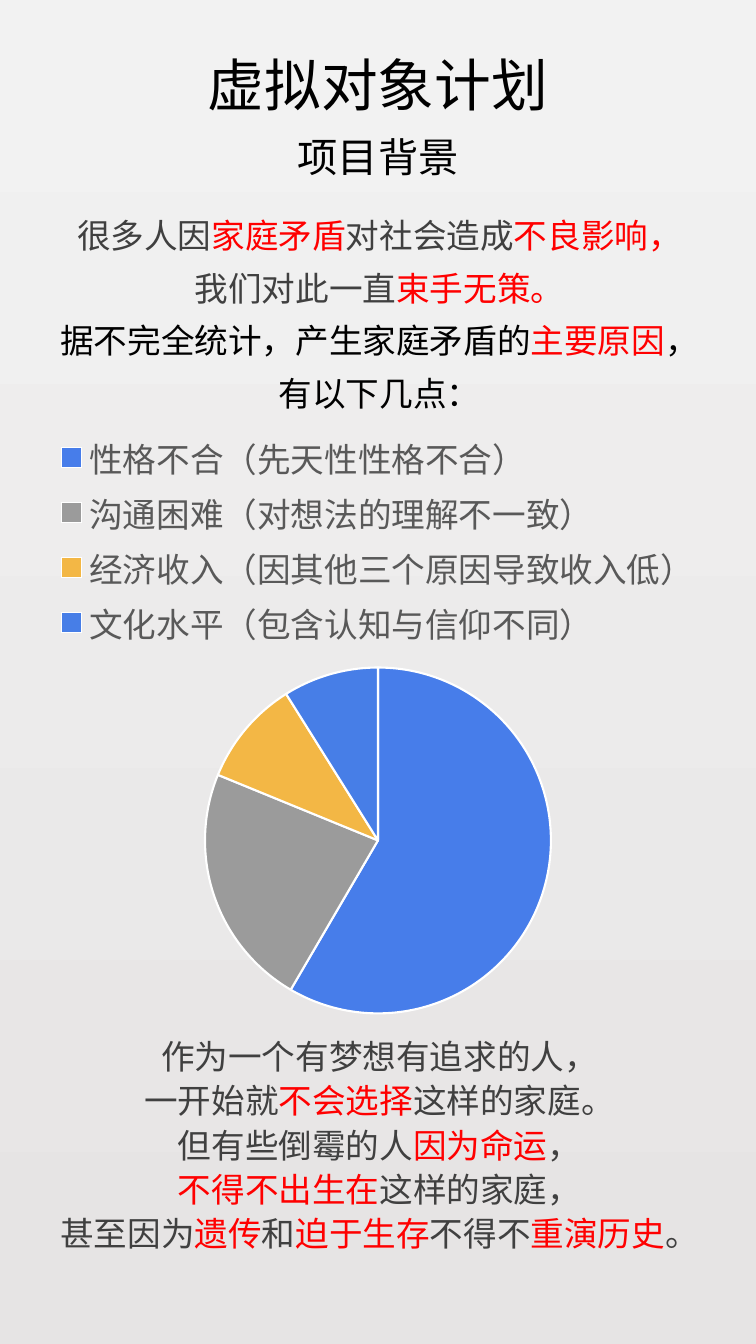
import pptx
import pptx.util
import pptx.chart.data
import pptx.enum.chart
import pptx.enum.text
from pptx.dml.color import RGBColor

Cm, Pt = pptx.util.Cm, pptx.util.Pt

BLACK = RGBColor(0, 0, 0)
WHITE = RGBColor(255, 255, 255)
RED = RGBColor(255, 0, 0)
DARK = RGBColor(0x40, 0x40, 0x40)
LEGEND_GRAY = RGBColor(0x59, 0x59, 0x59)
BACKDROP = [RGBColor(0xF2, 0xF2, 0xF2), RGBColor(0xE6, 0xE4, 0xE4)]
FONT = "Arial"
BODY_SIZE = Pt(24)

HEADING = [("虚拟对象计划", Pt(40.5)), ("项目背景", Pt(28.8))]
BACKGROUND = [
    [("很多人因", DARK), ("家庭矛盾", RED), ("对社会造成", DARK), ("不良影响，", RED)],
    [("我们对此一直", DARK), ("束手无策。", RED)],
    [("据不完全统计，产生家庭矛盾的", BLACK), ("主要原因", RED), ("，", BLACK)],
    [("有以下几点：", BLACK)],
]
CAUSES = [
    ("性格不合（先天性性格不合）", 59, RGBColor(0x47, 0x7D, 0xEA)),
    ("沟通困难（对想法的理解不一致）", 23, RGBColor(0x9B, 0x9B, 0x9B)),
    ("经济收入（因其他三个原因导致收入低）", 10, RGBColor(0xF3, 0xB7, 0x45)),
    ("文化水平（包含认知与信仰不同）", 9, RGBColor(0x47, 0x7E, 0xE7)),
]
REFLECTION = [
    [("作为一个有梦想有追求的人，", DARK)],
    [("一开始就", DARK), ("不会选择", RED), ("这样的家庭。", DARK)],
    [("但有些倒霉的人", DARK), ("因为命运", RED), ("，", DARK)],
    [("不得不出生在", RED), ("这样的家庭，", DARK)],
    [("甚至因为", DARK), ("遗传", RED), ("和", DARK), ("迫于生存", RED),
     ("不得不", DARK), ("重演历史", RED), ("。", DARK)],
]


def style(font, size, color):
    font.name, font.size = FONT, size
    font.color.rgb = color


def add_lines(slide, lines, top, height, spacing):
    frame = slide.shapes.add_textbox(Cm(0.79), top, Cm(17.55), height).text_frame
    frame.word_wrap = True
    for index, line in enumerate(lines):
        paragraph = frame.paragraphs[0] if index == 0 else frame.add_paragraph()
        paragraph.alignment = pptx.enum.text.PP_ALIGN.CENTER
        paragraph.line_spacing = spacing
        for words, color in line:
            run = paragraph.add_run()
            run.text = words
            style(run.font, BODY_SIZE, color)


deck = pptx.Presentation()
deck.slide_width, deck.slide_height = Cm(19.05), Cm(33.87)
slide = deck.slides.add_slide(deck.slide_layouts[5])

backdrop = slide.background.fill
backdrop.gradient()
backdrop.gradient_angle = 270
for stop, position, color in zip(backdrop.gradient_stops, (0, 1), BACKDROP):
    stop.position = position
    stop.color.rgb = color

heading = slide.shapes.title
heading.left, heading.top, heading.width, heading.height = Cm(2.39), Cm(2.11), Cm(14.27), Cm(2.57)
heading_frame = heading.text_frame
heading_frame.auto_size = pptx.enum.text.MSO_AUTO_SIZE.NONE
heading_frame.vertical_anchor = pptx.enum.text.MSO_ANCHOR.BOTTOM
heading_frame.text = "\v".join(words for words, size in HEADING)
heading_line = heading_frame.paragraphs[0]
heading_line.alignment = pptx.enum.text.PP_ALIGN.CENTER
heading_line.line_spacing = 1.3
for run, (words, size) in zip(heading_line.runs, HEADING):
    style(run.font, size, BLACK)

add_lines(slide, BACKGROUND, Cm(5), Cm(6.12), 1.3)

causes = pptx.chart.data.CategoryChartData()
causes.categories = [cause for cause, share, color in CAUSES]
causes.add_series("Series 1", [share for cause, share, color in CAUSES])
pie = slide.shapes.add_chart(
    pptx.enum.chart.XL_CHART_TYPE.PIE, Cm(0.71), Cm(10.57), Cm(17.63), Cm(15.32), causes).chart
style(pie.font, Pt(10), BLACK)
pie.has_title = False
pie.has_legend = True
pie.legend.position = pptx.enum.chart.XL_LEGEND_POSITION.TOP
pie.legend.include_in_layout = False
style(pie.legend.font, BODY_SIZE, LEGEND_GRAY)
pie.plots[0].vary_by_categories = True
for index, (cause, share, color) in enumerate(CAUSES):
    slice_format = pie.plots[0].series[0].points[index].format
    slice_format.fill.solid()
    slice_format.fill.fore_color.rgb = color
    slice_format.line.color.rgb = WHITE
    slice_format.line.width = Pt(1.5)

add_lines(slide, REFLECTION, Cm(25.88), Cm(7.67), 1.1)

deck.save("out.pptx")
